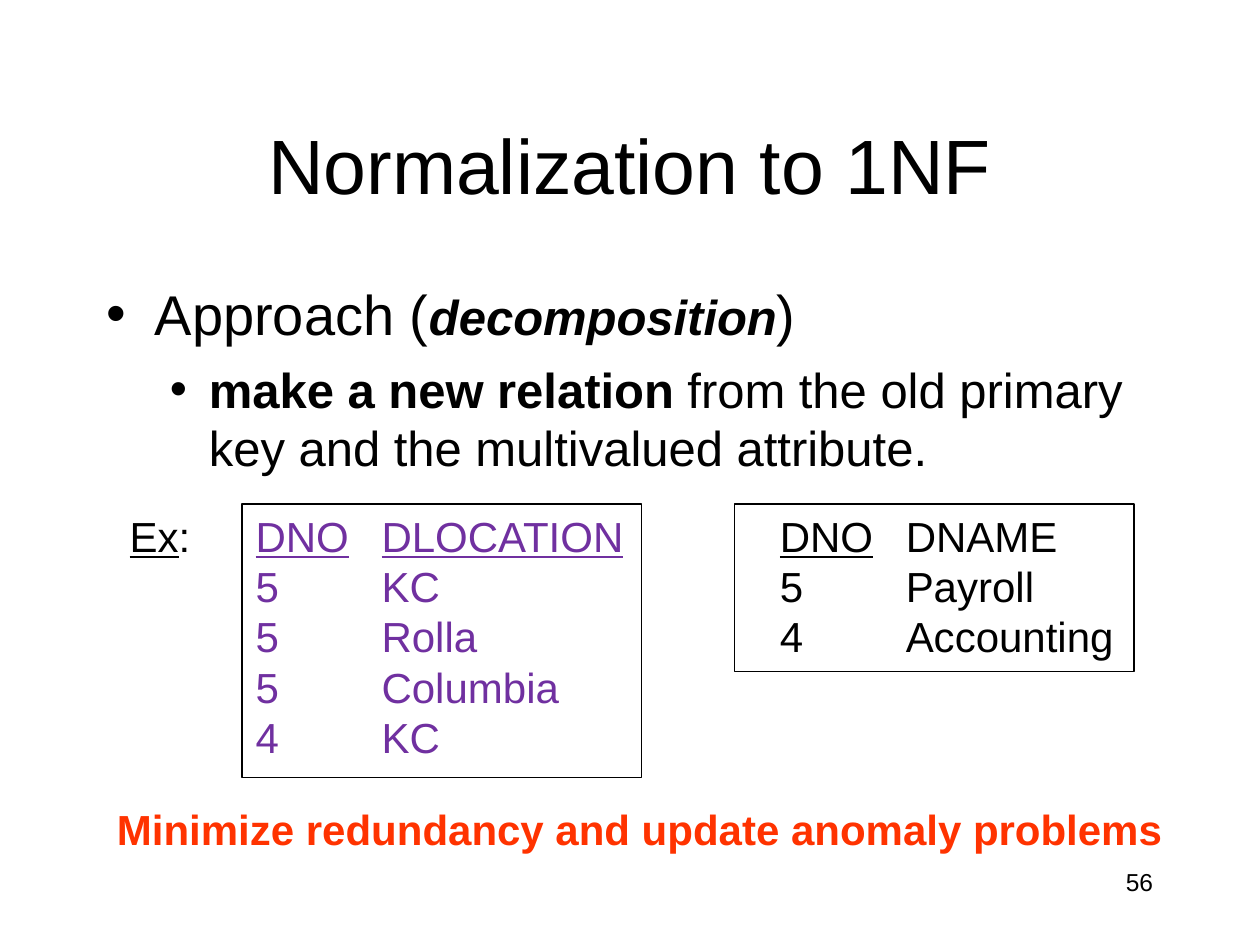
from lxml.etree import SubElement
from pptx import Presentation
from pptx.dml.color import RGBColor
from pptx.enum.shapes import MSO_SHAPE as Shape
from pptx.enum.text import MSO_ANCHOR as Anchor, PP_ALIGN as Align
from pptx.oxml.ns import qn
from pptx.util import Inches, Pt

COLORS = {"text": "000000", "relation": "7030A0", "conclusion": "FF3300"}
FONT = "Arial"


def color(name):
    return RGBColor.from_string(COLORS[name])


def add_bullet(paragraph, margin, hanging):
    """Give a paragraph a round bullet with a hanging indent."""
    props = paragraph._p.get_or_add_pPr()
    props.set("marL", str(Inches(margin)))
    props.set("indent", str(-Inches(hanging)))
    bullet_color = SubElement(props, qn("a:buClr"))
    SubElement(bullet_color, qn("a:srgbClr"), val=COLORS["text"])
    SubElement(props, qn("a:buFont"), typeface=FONT)
    SubElement(props, qn("a:buChar"), char="•")


def add_tab_stops(paragraph, positions):
    """Set left tab stops, in inches from the text edge."""
    stops = SubElement(paragraph._p.get_or_add_pPr(), qn("a:tabLst"))
    for position in positions:
        SubElement(stops, qn("a:tab"), pos=str(Inches(position)), algn="l")


def add_run(paragraph, text, size=24, ink="text", bold=False, italic=False,
            underline=False):
    run = paragraph.add_run()
    run.text = text
    font = run.font
    font.name, font.size = FONT, Pt(size)
    font.bold, font.italic, font.underline = bold, italic, underline
    font.color.rgb = color(ink)


def add_text(slide, box, lines, align=Align.LEFT, anchor=Anchor.TOP, wrap=True,
             tabs=(), **style):
    """Write lines of (text, format) runs; style applies to every run."""
    frame = slide.shapes.add_textbox(*map(Inches, box)).text_frame
    frame.word_wrap = wrap
    frame.vertical_anchor = anchor
    for index, runs in enumerate(lines):
        paragraph = frame.paragraphs[0] if index == 0 else frame.add_paragraph()
        paragraph.alignment = align
        if tabs:
            add_tab_stops(paragraph, tabs)
        for text, extra in runs:
            add_run(paragraph, text, **{**style, **extra})
    return frame


def add_border(slide, left, top, width, height):
    border = slide.shapes.add_shape(
        Shape.RECTANGLE, *map(Inches, (left, top, width, height)))
    border.shadow.inherit = False
    border.fill.background()
    border.line.color.rgb = color("text")
    border.line.width = Pt(0.75)


def add_approach(slide):
    frame = add_text(slide, (0.75, 2.17, 8.5, 1.83), [
        [("Approach (", {"size": 32}),
         ("decomposition", {"bold": True, "italic": True}),
         (")", {"size": 32})],
        [("make a new relation", {"bold": True}),
         (" from the old primary key and the multivalued attribute.", {})],
    ], size=28)
    levels = [(8, 0.38, 0.38), (7, 0.81, 0.31)]
    for paragraph, (before, margin, hanging) in zip(frame.paragraphs, levels):
        paragraph.space_before = Pt(before)
        add_bullet(paragraph, margin, hanging)
    frame.paragraphs[1].level = 1


def add_relations(slide):
    key = {"underline": True}
    purple = {"ink": "relation"}
    purple_key = {**key, **purple}

    # Department locations, keyed on both columns
    locations = [("5", "KC"), ("5", "Rolla"), ("5", "Columbia"), ("4", "KC")]
    header = [("Ex", key), (":\t", {}), ("DNO", purple_key), ("\t", purple),
              ("DLOCATION", purple_key)]
    rows = [[(f"\t{number}\t{place}", purple)] for number, place in locations]
    add_text(slide, (0.93, 4, 4.14, 2.1), [header, *rows], wrap=False,
             tabs=(1, 2))
    add_border(slide, 1.92, 4, 3.17, 2.17)

    # Department names
    departments = [("5", "Payroll"), ("4", "Accounting")]
    header = [("DNO", key), ("\tDNAME", {})]
    rows = [[(f"{number}\t{name}", {})] for number, name in departments]
    add_text(slide, (6.09, 4, 2.85, 1.3), [header, *rows], wrap=False,
             tabs=(1,))
    add_border(slide, 5.83, 4, 3.17, 1.33)


def main():
    deck = Presentation()
    deck.slide_width, deck.slide_height = Inches(10), Inches(7.5)
    slide = deck.slides.add_slide(deck.slide_layouts[6])

    # Title and approach
    add_text(slide, (0.75, 0.67, 8.5, 1.25), [[("Normalization to 1NF", {})]],
             align=Align.CENTER, anchor=Anchor.MIDDLE, size=44)
    add_approach(slide)

    # Example
    add_relations(slide)

    # Conclusion and page number
    add_text(slide, (0.83, 6.33, 8.92, 0.5),
             [[("Minimize redundancy and update anomaly problems", {})]],
             ink="conclusion", bold=True)
    add_text(slide, (7.17, 6.83, 2.08, 0.5), [[("56", {})]],
             align=Align.RIGHT, size=14)

    deck.save("out.pptx")


if __name__ == "__main__":
    main()
